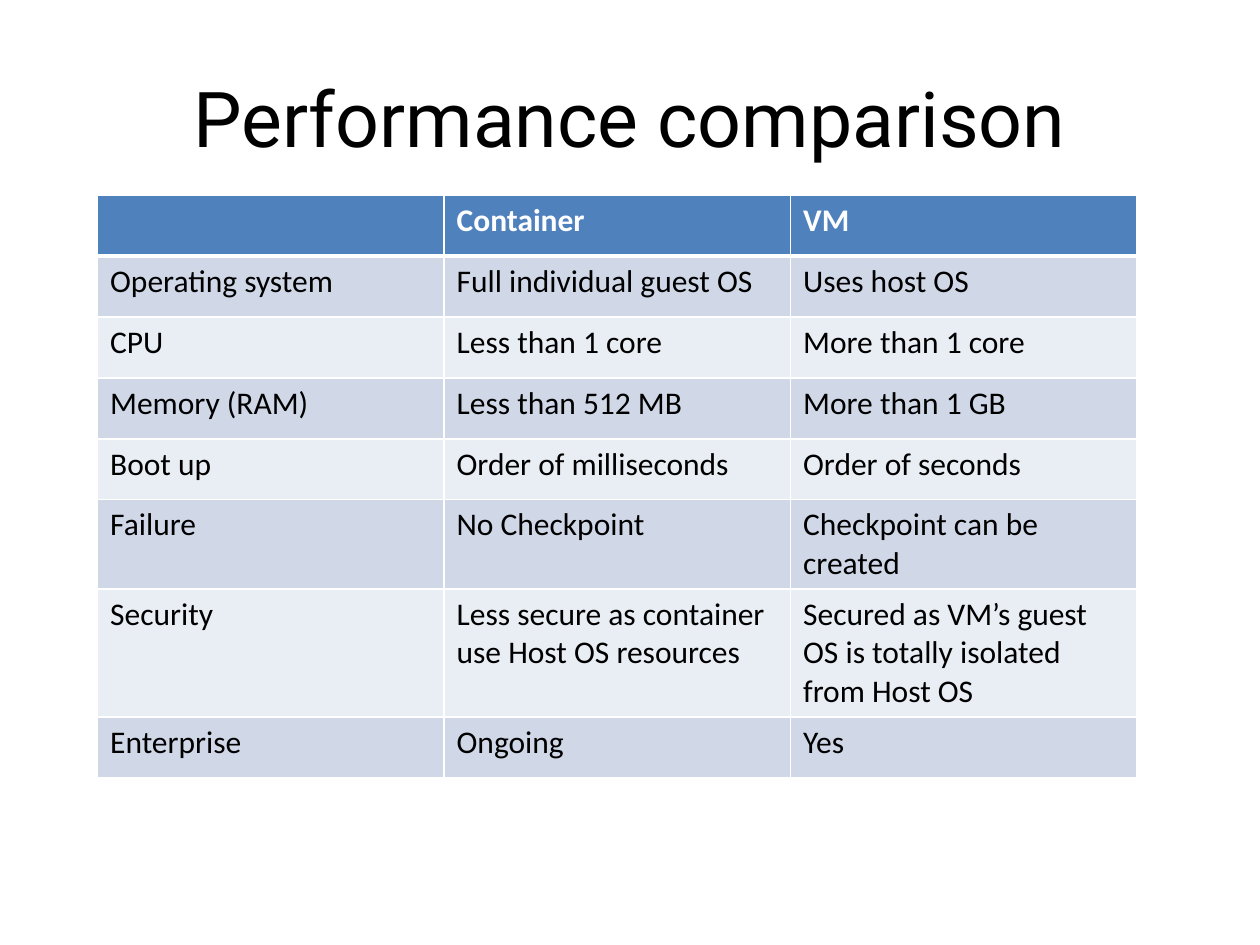
from dataclasses import dataclass

import pptx
import pptx.dml.color
import pptx.enum.text
import pptx.oxml
import pptx.oxml.ns
import pptx.table
import pptx.text.text
import pptx.util

Pt = pptx.util.Pt

COLORS = {
    "text": "000000",
    "header": "4F81BD",
    "header_text": "FFFFFF",
    "odd_row": "D0D8E8",
    "even_row": "E9EDF4",
    "border": "FFFFFF",
}
COLUMN_WIDTH = 198
ROW_HEIGHT = 34.8
THIN, THICK = 1, 3


@dataclass
class Row:
    aspect: str
    container: str
    vm: str


@dataclass
class CellStyle:
    fill: str
    text: str
    bold: bool
    top: float
    bottom: float


ROWS = [
    Row("", "Container", "VM"),
    Row("Operating system", "Full individual guest OS", "Uses host OS"),
    Row("CPU", "Less than 1 core", "More than 1 core"),
    Row("Memory (RAM)", "Less than 512 MB", "More than 1 GB"),
    Row("Boot up", "Order of milliseconds", "Order of seconds"),
    Row("Failure", "No Checkpoint", "Checkpoint can be created"),
    Row("Security", "Less secure as container use Host OS resources",
        "Secured as VM’s guest OS is totally isolated from Host OS"),
    Row("Enterprise", "Ongoing", "Yes"),
]


def rgb(name: str) -> pptx.dml.color.RGBColor:
    return pptx.dml.color.RGBColor.from_string(COLORS[name])


def set_font(paragraph: pptx.text.text._Paragraph, face: str, size: float,
             color: str, bold: bool = False) -> None:
    font = paragraph.font
    font.name, font.size, font.bold = face, Pt(size), bold
    font.color.rgb = rgb(color)


def row_style(index: int) -> CellStyle:
    if index == 0:
        return CellStyle("header", "header_text", True, THIN, THICK)
    fill = "odd_row" if index % 2 else "even_row"
    return CellStyle(fill, "text", False, THICK if index == 1 else THIN, THIN)


def set_borders(cell: pptx.table._Cell, style: CellStyle) -> None:
    properties = cell._tc.get_or_add_tcPr()
    widths = {"lnL": THIN, "lnR": THIN, "lnT": style.top, "lnB": style.bottom}
    # Border lines precede the fill in the cell properties
    for position, (side, width) in enumerate(widths.items()):
        line = pptx.oxml.parse_xml(
            f'<a:{side} {pptx.oxml.ns.nsdecls("a")} w="{int(Pt(width))}">'
            f'<a:solidFill><a:srgbClr val="{COLORS["border"]}"/></a:solidFill>'
            f'</a:{side}>')
        properties.insert(position, line)


def fill_cell(cell: pptx.table._Cell, text: str, style: CellStyle) -> None:
    cell.fill.solid()
    cell.fill.fore_color.rgb = rgb(style.fill)
    set_borders(cell, style)
    if text:
        cell.text = text
        set_font(cell.text_frame.paragraphs[0], "Calibri", 18, style.text, style.bold)


def main() -> None:
    presentation = pptx.Presentation()
    presentation.slide_width, presentation.slide_height = Pt(720), Pt(540)
    slide = presentation.slides.add_slide(presentation.slide_layouts[5])

    # Title
    title = slide.shapes.title
    title.left, title.top, title.width, title.height = Pt(36), Pt(21.6), Pt(648), Pt(90)
    title.text_frame.text = "Performance comparison"
    title.text_frame.vertical_anchor = pptx.enum.text.MSO_ANCHOR.MIDDLE
    heading = title.text_frame.paragraphs[0]
    heading.alignment = pptx.enum.text.PP_ALIGN.CENTER
    set_font(heading, "Roboto", 44, "text")

    # Comparison table; rows with long text grow when drawn
    comparison = slide.shapes.add_table(
        len(ROWS), 3, Pt(55.75), Pt(111.6),
        Pt(3 * COLUMN_WIDTH), Pt(len(ROWS) * ROW_HEIGHT)).table
    for column in comparison.columns:
        column.width = Pt(COLUMN_WIDTH)
    for index, row in enumerate(ROWS):
        comparison.rows[index].height = Pt(ROW_HEIGHT)
        style = row_style(index)
        for column, text in enumerate((row.aspect, row.container, row.vm)):
            fill_cell(comparison.cell(index, column), text, style)

    presentation.save("out.pptx")


if __name__ == "__main__":
    main()
